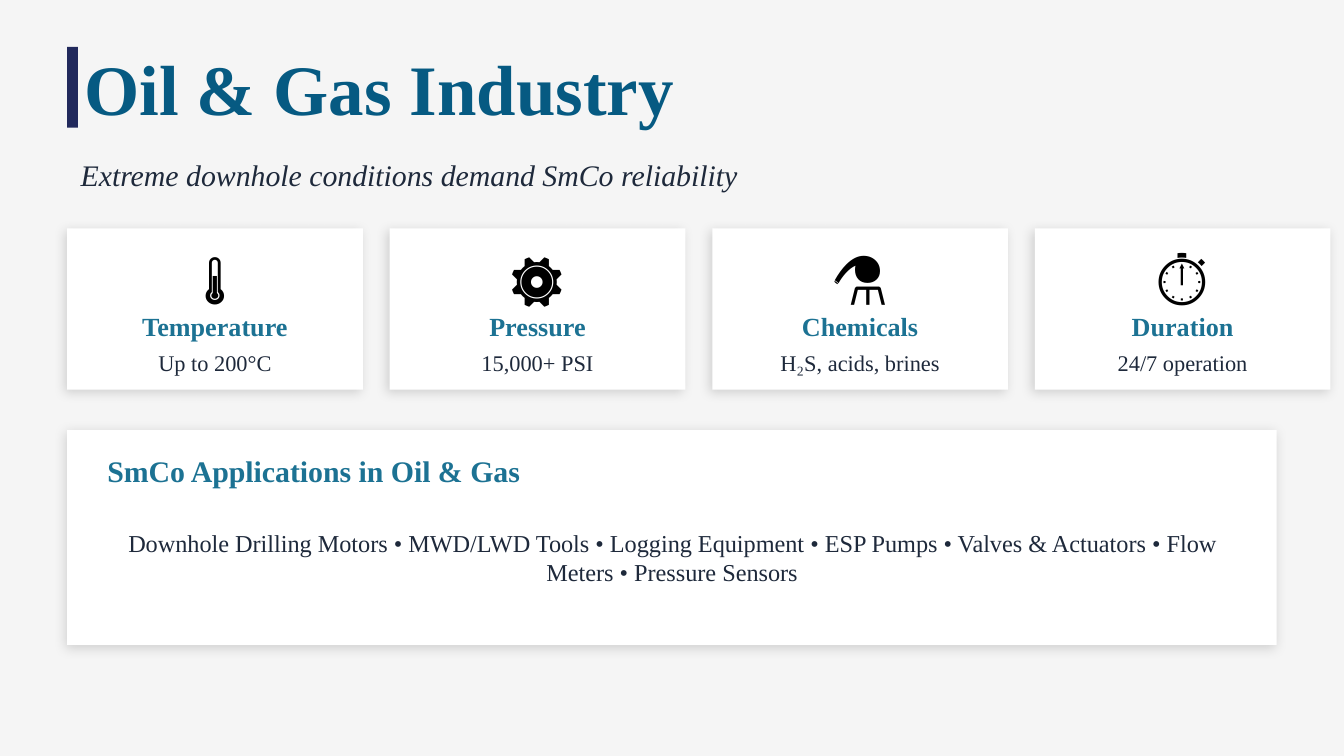
"""Build the Oil & Gas Industry slide with python-pptx."""
from dataclasses import dataclass

from lxml.etree import SubElement
from pptx import Presentation
from pptx.dml.color import RGBColor
from pptx.enum.shapes import MSO_SHAPE as Shape
from pptx.enum.text import MSO_ANCHOR as Anchor, MSO_AUTO_SIZE as AutoSize, PP_ALIGN as Align
from pptx.oxml.ns import qn
from pptx.util import Inches, Pt


@dataclass(frozen=True)
class Theme:
    font: str = "Times New Roman"
    background: str = "F5F5F5"
    card: str = "FFFFFF"
    accent: str = "21295C"
    title: str = "065A82"
    heading: str = "1C7293"
    text: str = "1E293B"
    black: str = "000000"
    title_size: int = 38
    icon_size: int = 32
    section_size: int = 16
    label_size: int = 14
    list_size: int = 13
    detail_size: int = 12


THEME = Theme()
CONDITIONS = [
    ("🌡", "Temperature", "Up to 200°C"),
    ("⚙", "Pressure", "15,000+ PSI"),
    ("⚗", "Chemicals", "H₂S, acids, brines"),
    ("⏱", "Duration", "24/7 operation"),
]
APPLICATIONS = [
    "Downhole Drilling Motors", "MWD/LWD Tools", "Logging Equipment", "ESP Pumps",
    "Valves & Actuators", "Flow Meters", "Pressure Sensors",
]
MARGIN = 0.5
CARD_WIDTH, CARD_GAP, CARD_TOP = 2.2, 0.2, 1.7


def write(box, text, size, color, align=Align.LEFT, bold=False, italic=False):
    """Fill a text holder with one formatted, vertically centred run."""
    frame = box.text_frame
    frame.word_wrap = True
    frame.auto_size = AutoSize.NONE
    frame.vertical_anchor = Anchor.MIDDLE
    para = frame.paragraphs[0]
    para.alignment = align
    span = para.add_run()
    span.text = text
    font = span.font
    font.name, font.size, font.bold, font.italic = THEME.font, Pt(size), bold, italic
    font.color.rgb = RGBColor.from_string(color)


def place(holder, left, top, width, height):
    """Move and size a placeholder."""
    holder.left, holder.top = Inches(left), Inches(top)
    holder.width, holder.height = Inches(width), Inches(height)


def add_text(page, left, top, width, height, text, size, color, **style):
    """Add a text box holding one run."""
    box = page.shapes.add_textbox(Inches(left), Inches(top), Inches(width), Inches(height))
    write(box, text, size, color, **style)


def add_block(page, left, top, width, height, color):
    """Add a plain filled rectangle."""
    block = page.shapes.add_shape(
        Shape.RECTANGLE, Inches(left), Inches(top), Inches(width), Inches(height))
    block.shadow.inherit = False
    block.fill.solid()
    block.fill.fore_color.rgb = RGBColor.from_string(color)
    block.line.fill.background()
    return block


def add_card(page, left, top, width, height):
    """Add a white panel with a soft shadow."""
    card = add_block(page, left, top, width, height, THEME.card)
    effects = card._element.spPr.find(qn("a:effectLst"))
    shadow = SubElement(effects, qn("a:outerShdw"), blurRad=str(Pt(6)), dist=str(Pt(2)),
                        dir=str(135 * 60000), algn="bl", rotWithShape="0")
    color = SubElement(shadow, qn("a:srgbClr"), val=THEME.black)
    SubElement(color, qn("a:alpha"), val="15000")


def add_header(page):
    """Set the title and subtitle placeholders and the accent bar."""
    title, subtitle = page.placeholders
    place(title, MARGIN, 0.4, 9, 0.5)
    frame = title.text_frame
    frame.margin_left = Inches(0.13)
    frame.margin_right = frame.margin_top = frame.margin_bottom = 0
    write(title, "Oil & Gas Industry", THEME.title_size, THEME.title, bold=True)
    add_block(page, MARGIN, 0.35, 0.08, 0.6, THEME.accent)

    place(subtitle, MARGIN, 1.1, 9, 0.4)
    write(subtitle, "Extreme downhole conditions demand SmCo reliability",
          THEME.section_size, THEME.text, italic=True)
    para = subtitle.text_frame.paragraphs[0]
    para.space_before = Pt(0)
    properties = para._p.get_or_add_pPr()
    properties.set("marL", "0")
    properties.set("indent", "0")
    SubElement(properties, qn("a:buNone"))


def add_condition(page, left, icon, label, detail):
    """Add a card with an icon, a label and a detail line."""
    add_card(page, left, CARD_TOP, CARD_WIDTH, 1.2)
    add_text(page, left, 1.85, CARD_WIDTH, 0.4, icon, THEME.icon_size, THEME.black,
             align=Align.CENTER)
    add_text(page, left, 2.3, CARD_WIDTH, 0.25, label, THEME.label_size, THEME.heading,
             align=Align.CENTER, bold=True)
    add_text(page, left, 2.6, CARD_WIDTH, 0.2, detail, THEME.detail_size, THEME.text,
             align=Align.CENTER)


def add_applications(page):
    """Add the wide card listing the applications."""
    add_card(page, MARGIN, 3.2, 9, 1.6)
    add_text(page, 0.7, 3.35, 8.6, 0.3, "SmCo Applications in Oil & Gas",
             THEME.section_size, THEME.heading, bold=True)
    add_text(page, 0.7, 3.75, 8.6, 0.8, " • ".join(APPLICATIONS),
             THEME.list_size, THEME.text, align=Align.CENTER)


def main():
    """Build and save the deck."""
    deck = Presentation()
    deck.slide_width, deck.slide_height = Inches(10), Inches(10 * 9 / 16)
    page = deck.slides.add_slide(deck.slide_layouts[1])
    page.background.fill.solid()
    page.background.fill.fore_color.rgb = RGBColor.from_string(THEME.background)
    add_header(page)
    for index, condition in enumerate(CONDITIONS):
        add_condition(page, MARGIN + index * (CARD_WIDTH + CARD_GAP), *condition)
    add_applications(page)
    deck.save("out.pptx")


if __name__ == "__main__":
    main()
